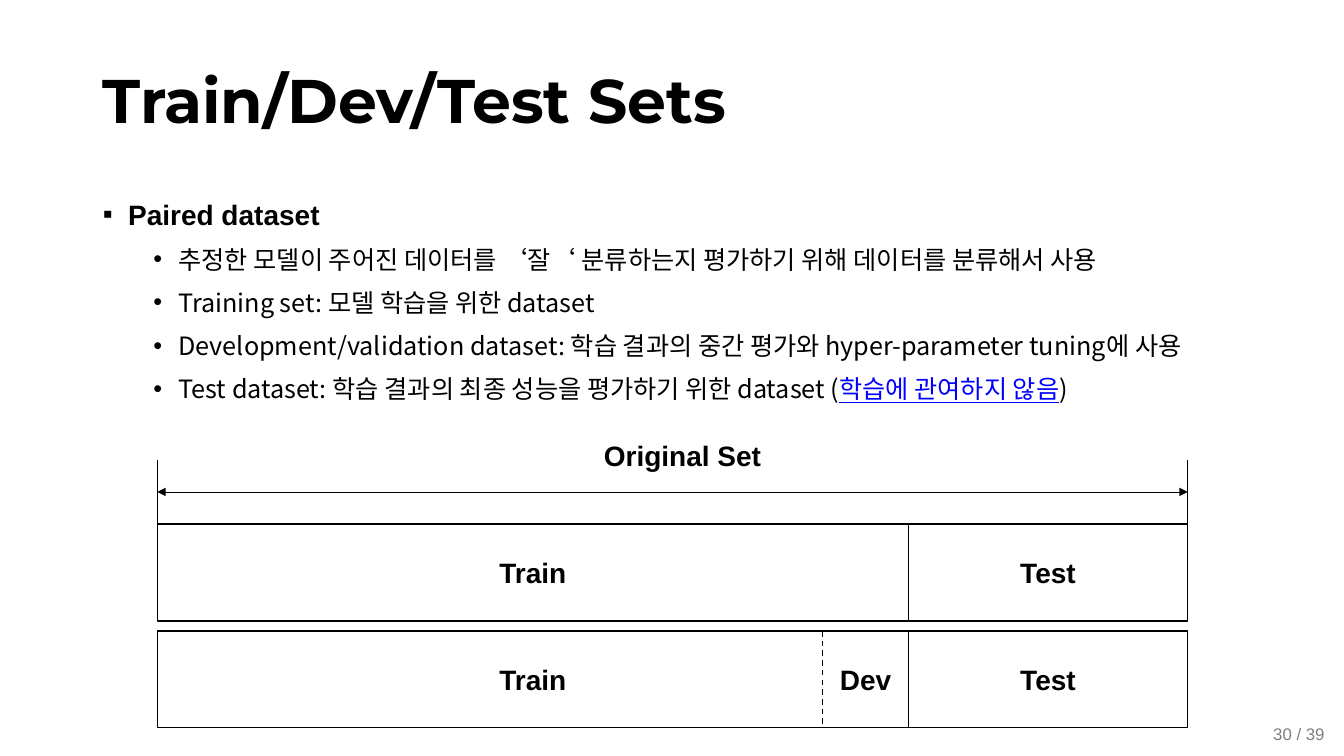
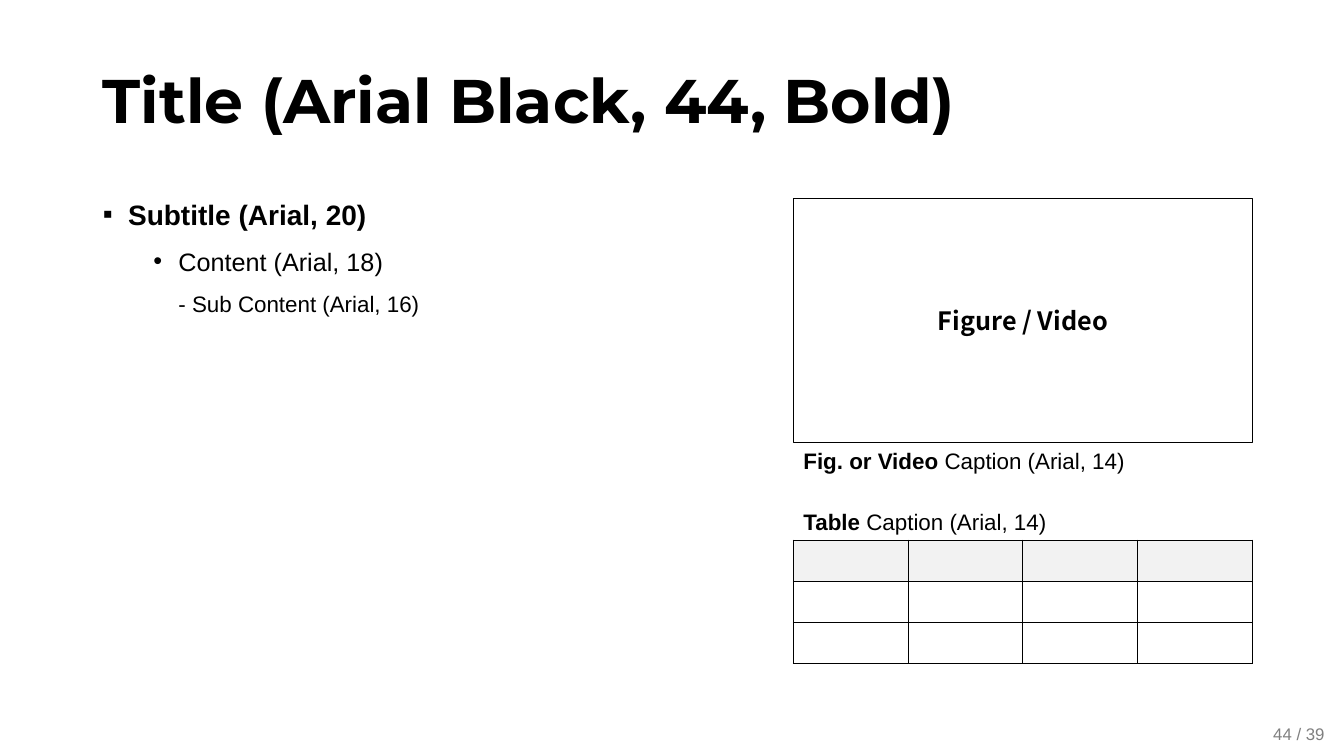
import dataclasses

import lxml.etree
import pptx
import pptx.dml.color
import pptx.enum.dml
import pptx.enum.shapes
import pptx.enum.text
import pptx.oxml.ns
import pptx.util

ALIGN = pptx.enum.text.PP_ALIGN
ANCHOR = pptx.enum.text.MSO_ANCHOR
FIT = pptx.enum.text.MSO_AUTO_SIZE
PX = 9144  # EMU in one px, 100 px to the inch


@dataclasses.dataclass(frozen=True)
class Theme:
    ink: str = "000000"
    accent: str = "0000FF"
    muted: str = "808080"
    header_fill: str = "F2F2F2"
    title_font: str = "Montserrat"
    text_font: str = "Arial"
    korean_font: str = "Noto Sans CJK KR"
    title_size: int = 44
    heading_size: int = 20
    content_size: int = 18
    small_size: int = 16
    number_size: int = 12
    line: float = 1
    thin_line: float = 0.5


THEME = Theme()
HEADING = {"size": THEME.heading_size, "bold": True}
KOREAN = {"size": THEME.content_size, "face": THEME.korean_font}

# Paragraph rules for the two list levels
HEADING_ITEM = {"level": 0, "left": 25, "bullet": "▪", "spacing": 1.5, "before": 0}
CONTENT_ITEM = {"level": 1, "left": 75, "bullet": "•", "spacing": 1.5, "before": 0}
KOREAN_ITEM = {**CONTENT_ITEM, "spacing": 1.2, "before": 5}


def px(*lengths):
    return [pptx.util.Emu(round(length * PX)) for length in lengths]


def child(parent, tag, **attributes):
    return lxml.etree.SubElement(parent, pptx.oxml.ns.qn(tag), attributes)


def assign(target, values):
    for name, value in values.items():
        setattr(target, name, value)


def rgb(code):
    return pptx.dml.color.RGBColor.from_string(code)


class Deck:
    """Holds the style, the presentation and the current page."""

    def __init__(self, theme):
        self.theme = theme
        self.file = pptx.Presentation()
        width, height = px(1333, 750)
        assign(self.file, {"slide_width": width, "slide_height": height})
        self.page = None

    def add_page(self, title, number):
        self.page = self.file.slides.add_slide(self.file.slide_layouts[1])
        box = self.page.shapes.title
        self.place(box, 92, 30, 1150, 145)
        para = self.frame(box, anchor=ANCHOR.MIDDLE)
        assign(para, {"alignment": ALIGN.LEFT, "line_spacing": 0.9})
        self.span(para, title, size=self.theme.title_size, bold=True, face=self.theme.title_font)
        self.text((1253, 713, 73, 30), [(f"{number} / 39", {
            "size": self.theme.number_size, "color": self.theme.muted})], wrap=False)

    def place(self, box, *area):
        assign(box, dict(zip(("left", "top", "width", "height"), px(*area))))

    def frame(self, box, **values):
        """Set up a text frame and return its first paragraph."""
        assign(box.text_frame, {"word_wrap": True, "auto_size": FIT.NONE})
        assign(box.text_frame, {{"anchor": "vertical_anchor"}.get(name, name): value
                                for name, value in values.items()})
        return box.text_frame.paragraphs[0]

    def span(self, para, text, size, bold=False, underline=False, face=None, color=None):
        span = para.add_run()
        face = face or self.theme.text_font
        assign(span, {"text": text})
        assign(span.font, {"size": pptx.util.Pt(size), "bold": bold,
                           "underline": underline, "name": face})
        span.font.color.rgb = rgb(color or self.theme.ink)
        latin = span.font._element.find(pptx.oxml.ns.qn("a:latin"))
        east_asian = latin.makeelement(pptx.oxml.ns.qn("a:ea"), {"typeface": face})
        latin.addnext(east_asian)

    def bullets(self, items):
        """Fill the body; each item is a rule and lines of spans."""
        box = self.page.placeholders[1]
        self.place(box, 92, 174, 1150, 535)
        para = self.frame(box, anchor=ANCHOR.TOP)
        for index, (rule, lines) in enumerate(items):
            para = box.text_frame.add_paragraph() if index else para
            assign(para, {"level": rule["level"], "line_spacing": rule["spacing"],
                          "space_before": pptx.util.Pt(rule["before"])})
            settings = para._p.get_or_add_pPr()
            left, hanging = px(rule["left"], -25)
            settings.set("marL", str(left))
            settings.set("indent", str(hanging))
            child(settings, "a:buFont", typeface=self.theme.text_font)
            child(settings, "a:buChar", char=rule["bullet"])
            for row, spans in enumerate(lines):
                if row:
                    para.add_line_break()
                for text, style in spans:
                    self.span(para, text, **style)

    def text(self, area, spans, align=ALIGN.LEFT, anchor=ANCHOR.TOP, wrap=True):
        box = self.page.shapes.add_textbox(*px(*area))
        para = self.frame(box, anchor=anchor, word_wrap=wrap)
        para.alignment = align
        for text, style in spans:
            self.span(para, text, **style)

    def rectangle(self, area, label, **style):
        box = self.page.shapes.add_shape(pptx.enum.shapes.MSO_SHAPE.RECTANGLE, *px(*area))
        box.shadow.inherit = False
        box.fill.background()
        box.line.color.rgb = rgb(self.theme.ink)
        box.line.width = pptx.util.Pt(self.theme.line)
        para = self.frame(box, anchor=ANCHOR.MIDDLE)
        para.alignment = ALIGN.CENTER
        self.span(para, label, **style)

    def line(self, start, end, width, dash=None, arrows=False):
        line = self.page.shapes.add_connector(
            pptx.enum.shapes.MSO_CONNECTOR.STRAIGHT, *px(*start, *end))
        line.line.color.rgb = rgb(self.theme.ink)
        assign(line.line, {"width": pptx.util.Pt(width), "dash_style": dash})
        if arrows:
            for tag in ("a:headEnd", "a:tailEnd"):
                child(line.line._get_or_add_ln(), tag, type="triangle")
        child(line._element.spPr, "a:effectLst")

    def grid(self, area, rows, columns):
        """Empty table with a tinted header row and full borders."""
        table = self.page.shapes.add_table(rows, columns, *px(*area)).table
        assign(table, {"first_row": False, "horz_banding": False})
        for index, cell in enumerate(table.iter_cells()):
            settings = cell._tc.get_or_add_tcPr()
            for tag in ("a:lnL", "a:lnR", "a:lnT", "a:lnB"):
                border = child(settings, tag, w=str(pptx.util.Pt(self.theme.line)))
                child(child(border, "a:solidFill"), "a:srgbClr", val=self.theme.ink)
            if index < columns:
                cell.fill.solid()
                cell.fill.fore_color.rgb = rgb(self.theme.header_fill)
            else:
                cell.fill.background()


def add_dataset_page(deck):
    deck.add_page("Train/Dev/Test Sets", 30)
    link = {**KOREAN, "underline": True, "color": THEME.accent}
    contents = [
        [("추정한 모델이 주어진 데이터를 ‘잘‘ 분류하는지 평가하기 위해 데이터를 분류해서 사용", KOREAN)],
        [("Training set: 모델 학습을 위한 dataset", KOREAN)],
        [("Development/validation dataset: 학습 결과의 중간 평가와 hyper-parameter tuning에 사용", KOREAN)],
        [("Test dataset: 학습 결과의 최종 성능을 평가하기 위한 dataset (", KOREAN),
         ("학습에 관여하지 않음", link), (")", KOREAN)],
    ]
    deck.bullets([(HEADING_ITEM, [[("Paired dataset", HEADING)]])]
                 + [(KOREAN_ITEM, [spans]) for spans in contents])

    # Split bars
    left, dev, test, right = 156, 816, 901, 1178
    first_row, second_row, height = 520, 626, 96
    for top in (first_row, second_row):
        deck.rectangle((left, top, test - left, height), "Train", **HEADING)
        deck.rectangle((test, top, right - test, height), "Test", **HEADING)
    deck.text((dev, second_row, test - dev, height), [("Dev", HEADING)],
              align=ALIGN.CENTER, anchor=ANCHOR.MIDDLE)
    deck.line((dev, second_row), (dev, second_row + height), THEME.line,
              dash=pptx.enum.dml.MSO_LINE.DASH)

    # Dimension line above the bars
    for x in (left, right):
        deck.line((x, first_row), (x, first_row - 64), THEME.thin_line)
    deck.line((left, first_row - 32), (right, first_row - 32), THEME.thin_line, arrows=True)
    deck.text((564, 430, 226, 56), [("Original Set", HEADING)], align=ALIGN.CENTER, wrap=False)


def add_style_page(deck):
    deck.add_page("Title (Arial Black, 44, Bold)", 44)
    small = {"size": THEME.small_size}
    deck.bullets([
        (HEADING_ITEM, [[("Subtitle (Arial, 20)", HEADING)]]),
        (CONTENT_ITEM, [[("Content (Arial, 18)", {"size": THEME.content_size})],
                        [("- Sub Content (Arial, 16)", small)]]),
    ])

    # Figure and table column
    left, width = 787, 455
    deck.rectangle((left, 197, width, 242), "Figure / Video", bold=True, **KOREAN)
    for top, kind in ((439, "Fig. or Video"), (499, "Table")):
        deck.text((left, top, width, 37),
                  [(kind, {**small, "bold": True}), (" Caption (Arial, 14)", small)])
    deck.grid((left, 536, width, 122), rows=3, columns=4)


def main():
    deck = Deck(THEME)
    add_dataset_page(deck)
    add_style_page(deck)
    deck.file.save("out.pptx")


if __name__ == "__main__":
    main()
